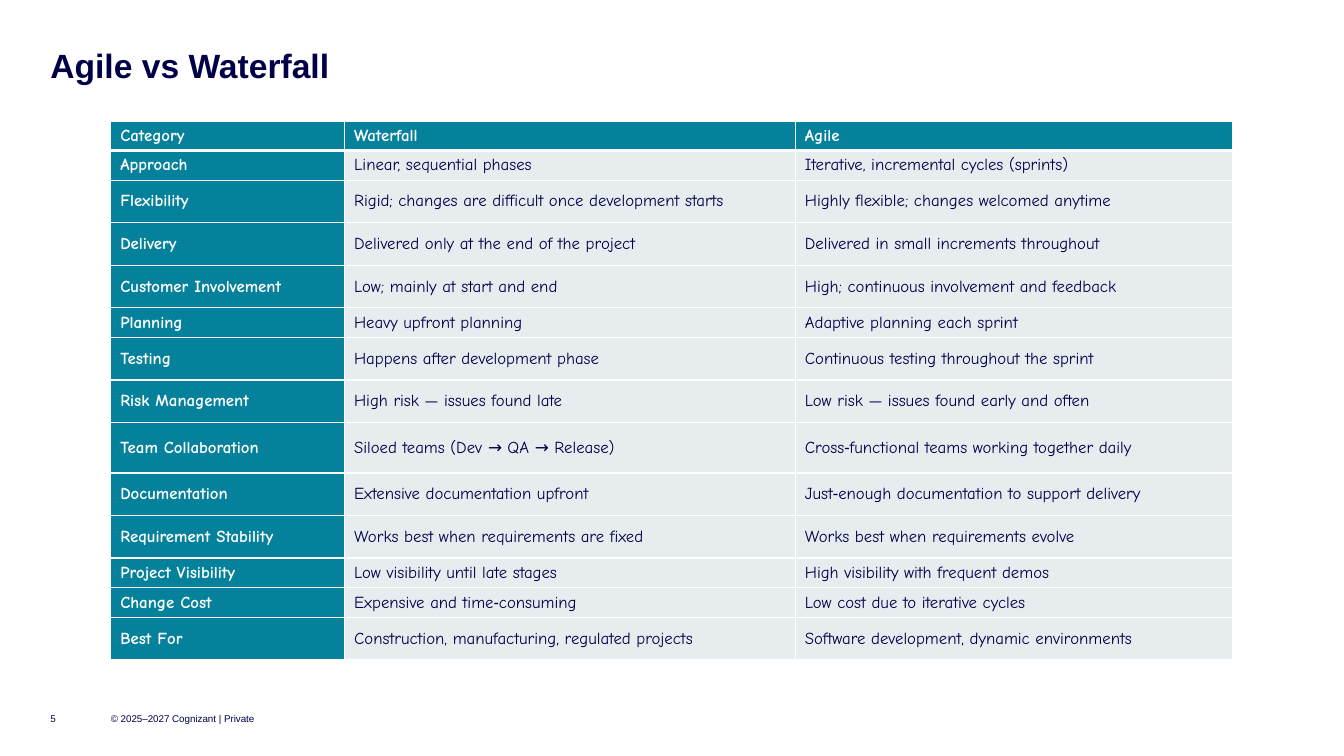
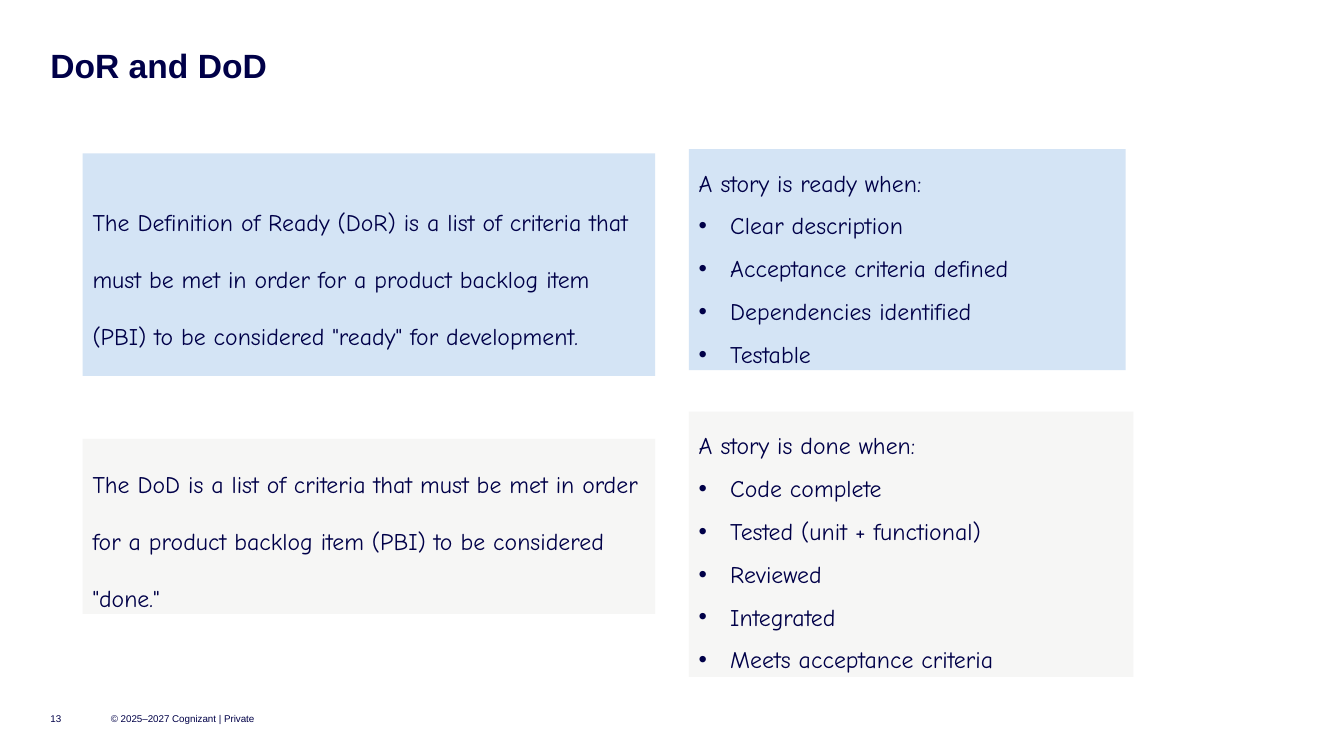
"""Build two slides: an Agile and Waterfall comparison table, and DoR and DoD cards."""
from dataclasses import dataclass

from lxml.etree import SubElement
from pptx import Presentation
from pptx.dml.color import RGBColor
from pptx.enum.shapes import MSO_SHAPE
from pptx.enum.text import MSO_ANCHOR, PP_ALIGN
from pptx.oxml.ns import qn
from pptx.util import Pt


@dataclass(frozen=True)
class Theme:
    navy: str = "000048"
    teal: str = "05819B"
    mist: str = "E7EDEF"
    sky: str = "D4E4F5"
    pearl: str = "F6F6F5"
    white: str = "FFFFFF"
    heading_font: str = "Arial"
    body_font: str = "Comic Neue"
    title_size: float = 24
    card_size: float = 17
    table_size: float = 12
    footer_size: float = 7


T = Theme()
COPYRIGHT = "© 2025–2027 Cognizant | Private"

TABLE_LEFT, TABLE_TOP = 79.2, 86.4
COLUMN_WIDTHS = (167, 322, 312)
SHORT, NORMAL, TALL = 20.4, 30.4, 36
THIN, THICK = 1, 3
COMPARISON = [
    (SHORT, "Category", "Waterfall", "Agile"),
    (SHORT, "Approach", "Linear, sequential phases", "Iterative, incremental cycles (sprints)"),
    (NORMAL, "Flexibility", "Rigid; changes are difficult once development starts",
     "Highly flexible; changes welcomed anytime"),
    (NORMAL, "Delivery", "Delivered only at the end of the project",
     "Delivered in small increments throughout"),
    (NORMAL, "Customer Involvement", "Low; mainly at start and end",
     "High; continuous involvement and feedback"),
    (SHORT, "Planning", "Heavy upfront planning", "Adaptive planning each sprint"),
    (NORMAL, "Testing", "Happens after development phase",
     "Continuous testing throughout the sprint"),
    (NORMAL, "Risk Management", "High risk — issues found late",
     "Low risk — issues found early and often"),
    (TALL, "Team Collaboration", "Siloed teams (Dev → QA → Release)",
     "Cross‑functional teams working together daily"),
    (NORMAL, "Documentation", "Extensive documentation upfront",
     "Just‑enough documentation to support delivery"),
    (NORMAL, "Requirement Stability", "Works best when requirements are fixed",
     "Works best when requirements evolve"),
    (SHORT, "Project Visibility", "Low visibility until late stages",
     "High visibility with frequent demos"),
    (SHORT, "Change Cost", "Expensive and time‑consuming", "Low cost due to iterative cycles"),
    (NORMAL, "Best For", "Construction, manufacturing, regulated projects",
     "Software development, dynamic environments"),
]

BULLET_INDENT = 22.5
DEFINITION_LEFT, DEFINITION_WIDTH, CHECKLIST_LEFT = 59, 409, 492
DEFINITIONS = [
    (109.5, 159, T.sky,
     "The Definition of Ready (DoR) is a list of criteria that must be met in order for a "
     "product backlog item (PBI) to be considered \"ready\" for development."),
    (313.5, 125, T.pearl,
     "The DoD is a list of criteria that must be met in order for a product backlog item "
     "(PBI) to be considered \"done.\""),
]
CHECKLISTS = [
    (106.5, 312, 158, T.sky, "A story is ready when:",
     ["Clear description", "Acceptance criteria defined", "Dependencies identified", "Testable"]),
    (294, 317.5, 189.5, T.pearl, "A story is done when:",
     ["Code complete", "Tested (unit + functional)", "Reviewed", "Integrated",
      "Meets acceptance criteria"]),
]


def rgb(value):
    return RGBColor.from_string(value)


def style(p, size, font, color=T.navy, bold=False, spacing=None):
    p.alignment = PP_ALIGN.LEFT
    if spacing:
        p.line_spacing = spacing
    for r in p.runs:
        r.font.size, r.font.name, r.font.bold = Pt(size), font, bold
        r.font.color.rgb = rgb(color)


def add_label(s, box, text, size, bold=False, spacing=None, anchor=MSO_ANCHOR.MIDDLE):
    tf = s.shapes.add_textbox(*map(Pt, box)).text_frame
    tf.margin_left = tf.margin_top = tf.margin_right = tf.margin_bottom = 0
    tf.word_wrap, tf.vertical_anchor, tf.text = True, anchor, text
    style(tf.paragraphs[0], size, T.heading_font, bold=bold, spacing=spacing)


def add_slide(prs, title, number):
    s = prs.slides.add_slide(prs.slide_layouts[6])
    s.background.fill.solid()
    s.background.fill.fore_color.rgb = rgb(T.white)
    add_label(s, (36, 35, 888, 26), title, T.title_size, True, 0.9, MSO_ANCHOR.TOP)
    add_label(s, (79.2, 504, 108, 18), COPYRIGHT, T.footer_size)
    add_label(s, (36, 504, 29, 18), number, T.footer_size)
    return s


def set_borders(cell, top, bottom):
    tc_pr = cell._tc.get_or_add_tcPr()
    for side, width in (("L", THIN), ("R", THIN), ("T", top), ("B", bottom)):
        line = SubElement(tc_pr, qn(f"a:ln{side}"), w=str(Pt(width)))
        fill = SubElement(line, qn("a:solidFill"))
        SubElement(fill, qn("a:srgbClr"), val=T.white)


def add_comparison(s):
    heights = [row[0] for row in COMPARISON]
    frame = s.shapes.add_table(
        len(heights), len(COLUMN_WIDTHS), Pt(TABLE_LEFT), Pt(TABLE_TOP),
        Pt(sum(COLUMN_WIDTHS)), Pt(sum(heights)))
    table = frame.table
    for column, width in zip(table.columns, COLUMN_WIDTHS):
        column.width = Pt(width)
    for i, (height, *texts) in enumerate(COMPARISON):
        table.rows[i].height = Pt(height)
        for j, text in enumerate(texts):
            cell = table.cell(i, j)
            heading = i == 0 or j == 0
            set_borders(cell, THICK if i == 1 else THIN, THICK if i == 0 else THIN)
            cell.fill.solid()
            cell.fill.fore_color.rgb = rgb(T.teal if heading else T.mist)
            cell.margin_left = cell.margin_right = Pt(6.75)
            cell.margin_top = cell.margin_bottom = Pt(3.4)
            cell.vertical_anchor = MSO_ANCHOR.MIDDLE
            cell.text_frame.text = text
            style(cell.text_frame.paragraphs[0], T.table_size, T.body_font,
                  T.white if heading else T.navy, heading)


def add_card(s, box, color, text, spacing, anchor):
    sp = s.shapes.add_shape(MSO_SHAPE.RECTANGLE, *map(Pt, box))
    sp.shadow.inherit = False
    sp.fill.solid()
    sp.fill.fore_color.rgb = rgb(color)
    sp.line.fill.background()
    tf = sp.text_frame
    tf.word_wrap, tf.vertical_anchor, tf.text = True, anchor, text
    style(tf.paragraphs[0], T.card_size, T.body_font, spacing=spacing)
    return tf


def add_bullet(tf, text, spacing):
    p = tf.add_paragraph()
    p.text = text
    p_pr = p._p.get_or_add_pPr()
    p_pr.set("marL", str(Pt(BULLET_INDENT)))
    p_pr.set("indent", str(-Pt(BULLET_INDENT)))
    SubElement(p_pr, qn("a:buFont"), typeface=T.heading_font)
    SubElement(p_pr, qn("a:buChar"), char="•")
    style(p, T.card_size, T.body_font, spacing=spacing)


def add_cards(s):
    for top, height, color, text in DEFINITIONS:
        add_card(s, (DEFINITION_LEFT, top, DEFINITION_WIDTH, height), color, text, 2.0,
                 MSO_ANCHOR.MIDDLE)
    for top, width, height, color, lead, items in CHECKLISTS:
        tf = add_card(s, (CHECKLIST_LEFT, top, width, height), color, lead, 1.5, MSO_ANCHOR.TOP)
        for item in items:
            add_bullet(tf, item, 1.5)


def main():
    prs = Presentation()
    prs.slide_width, prs.slide_height = Pt(960), Pt(540)
    add_comparison(add_slide(prs, "Agile vs Waterfall", "5"))
    add_cards(add_slide(prs, "DoR and DoD", "13"))
    prs.save("out.pptx")


if __name__ == "__main__":
    main()
